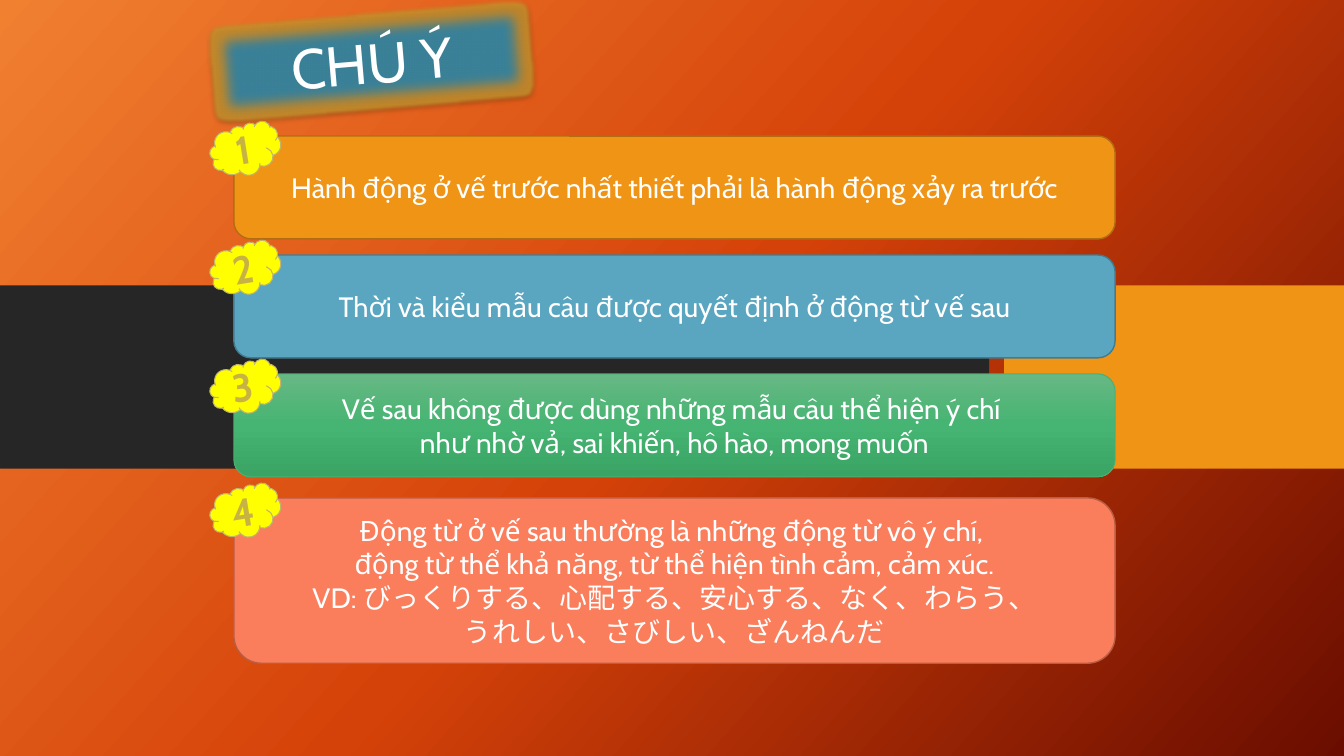
from lxml import etree
from pptx import Presentation
from pptx.dml.color import RGBColor
from pptx.enum.shapes import MSO_SHAPE as SHAPE
from pptx.enum.text import MSO_ANCHOR, MSO_AUTO_SIZE, PP_ALIGN
from pptx.oxml import parse_xml
from pptx.oxml.ns import nsdecls, qn
from pptx.util import Inches, Pt

# Content: a paragraph is a list of (text, font) runs, "\n" is a line break
HEADING = "CHÚ Ý"
MAIN, JAPANESE = "Cabin", "Arial"
GREEN = [(0, "67B884"), (50, "46B472"), (100, "3AA464")]
NOTES = [  # top, height, fill, line colour, line width, paragraphs
    (1.35, 1.02, "F09415", "B26D10", 1,
     [[("Hành động ở vế trước nhất thiết phải là hành động xảy ra trước", MAIN)]]),
    (2.53, 1.02, "5AA6C0", "437B8E", 1,
     [[("Thời và kiểu mẫu câu được quyết định ở động từ vế sau", MAIN)]]),
    (3.71, 1.02, GREEN, "4BAF73", 0.75,
     [[("Vế sau không được dùng những mẫu câu thể hiện ý chí \n"
        "như nhờ vả, sai khiến, hô hào, mong muốn", MAIN)]]),
    (4.94, 1.64, "FA7E5C", "B95D44", 1,
     [[("Động từ ở vế sau thường là những động từ vô ý chí, \n"
        "động từ thể khả năng, từ thể hiện tình cảm, cảm xúc.", MAIN)],
      [("VD: ", MAIN), ("びっくりする、心配する、安心する、なく、わらう、", JAPANESE)],
      [("うれしい、さびしい、ざんねんだ", JAPANESE)]]),
]
BANDS = [(0, 9.81, "262626"), (9.96, 3.37, "F09415")]  # left, width, fill
BACKDROP = [(0, "F18031"), (50, "D54209"), (100, "6A0D00")]
GOLD = [(0, "F6E48B"), (75, "C6B344"), (100, "BBA623")]

# Layout in inches
BAND_TOP, BAND_HEIGHT = 2.83, 1.82
CARD_LEFT, CARD_WIDTH = 2.32, 8.74
BADGE_LEFT, BADGE_RISE, BADGE_WIDTH, BADGE_HEIGHT = 2.08, 0.12, 0.71, 0.51


def rgb(value):
    return RGBColor.from_string(value)


def paint(fill, colour, owner, angle=90):
    """Fill with a hex colour or with a list of (percent, hex) stops."""
    if isinstance(colour, str):
        fill.solid()
        fill.fore_color.rgb = rgb(colour)
        return
    fill.gradient()
    fill.gradient_angle = 360 - angle
    stops = next(owner.iter(qn("a:gradFill"))).find(qn("a:gsLst"))
    for stop in list(stops):
        stops.remove(stop)
    for percent, value in colour:
        stop = etree.SubElement(stops, qn("a:gs"), pos=str(percent * 1000))
        etree.SubElement(stop, qn("a:srgbClr"), val=value)


def add_block(kind, left, top, width, height, fill, line=None, line_width=1):
    block = slide.shapes.add_shape(
        kind, Inches(left), Inches(top), Inches(width), Inches(height))
    block.shadow.inherit = False
    paint(block.fill, fill, block.element)
    if line:
        block.line.color.rgb = rgb(line)
        block.line.width = Pt(line_width)
    else:
        block.line.fill.background()
    return block


def write(block, paragraphs, size=20, colour="FFFFFF", bold=False):
    frame = block.text_frame
    frame.word_wrap = True
    frame.auto_size = MSO_AUTO_SIZE.NONE
    frame.vertical_anchor = MSO_ANCHOR.MIDDLE
    for i, runs in enumerate(paragraphs):
        paragraph = frame.add_paragraph() if i else frame.paragraphs[0]
        paragraph.alignment = PP_ALIGN.CENTER
        for text, font in runs:
            for j, part in enumerate(text.split("\n")):
                if j:
                    paragraph.add_line_break()
                run = paragraph.add_run()
                run.text = part
                run.font.name, run.font.size, run.font.bold = font, Pt(size), bold
                paint(run.font.fill, colour, block.text_frame._txBody)


prs = Presentation()
prs.slide_width, prs.slide_height = Inches(13.33), Inches(7.5)
slide = prs.slides.add_slide(prs.slide_layouts[5])

# Backdrop and side bands
paint(slide.background.fill, BACKDROP, slide.element, angle=42)
for left, width, colour in BANDS:
    add_block(SHAPE.RECTANGLE, left, BAND_TOP, width, BAND_HEIGHT, colour)

# Tilted heading with a glow and soft edges
heading = slide.shapes.title
heading.left, heading.top = Inches(2.12), Inches(0.16)
heading.width, heading.height = Inches(3.13), Inches(0.9)
heading.rotation = 355.1
heading_props = heading.element.spPr
heading_props.append(parse_xml(
    f'<a:prstGeom {nsdecls("a")} prst="roundRect"><a:avLst/></a:prstGeom>'))
paint(heading.fill, "3A8199", heading.element)
heading.line.fill.background()
heading_props.append(parse_xml(
    f'<a:effectLst {nsdecls("a")}>'
    '<a:glow rad="63500"><a:srgbClr val="C8962F"><a:alpha val="80000"/></a:srgbClr></a:glow>'
    '<a:outerShdw blurRad="39370" dist="22860" dir="5400000" rotWithShape="0">'
    '<a:srgbClr val="000000"><a:alpha val="35000"/></a:srgbClr></a:outerShdw>'
    '<a:softEdge rad="112500"/></a:effectLst>'))
write(heading, [[(HEADING, MAIN)]], size=40)

# Note cards, each with a numbered cloud
for number, (top, height, fill, line, line_width, paragraphs) in enumerate(NOTES, 1):
    card = add_block(SHAPE.ROUNDED_RECTANGLE, CARD_LEFT, top, CARD_WIDTH, height,
                     fill, line, line_width)
    write(card, paragraphs)
    badge = add_block(SHAPE.CLOUD, BADGE_LEFT, top - BADGE_RISE, BADGE_WIDTH,
                      BADGE_HEIGHT, "FFFF00", "C1B56B", 0.75)
    badge.rotation = 350.7
    write(badge, [[(str(number), MAIN)]], size=28, colour=GOLD, bold=True)

prs.save("out.pptx")
